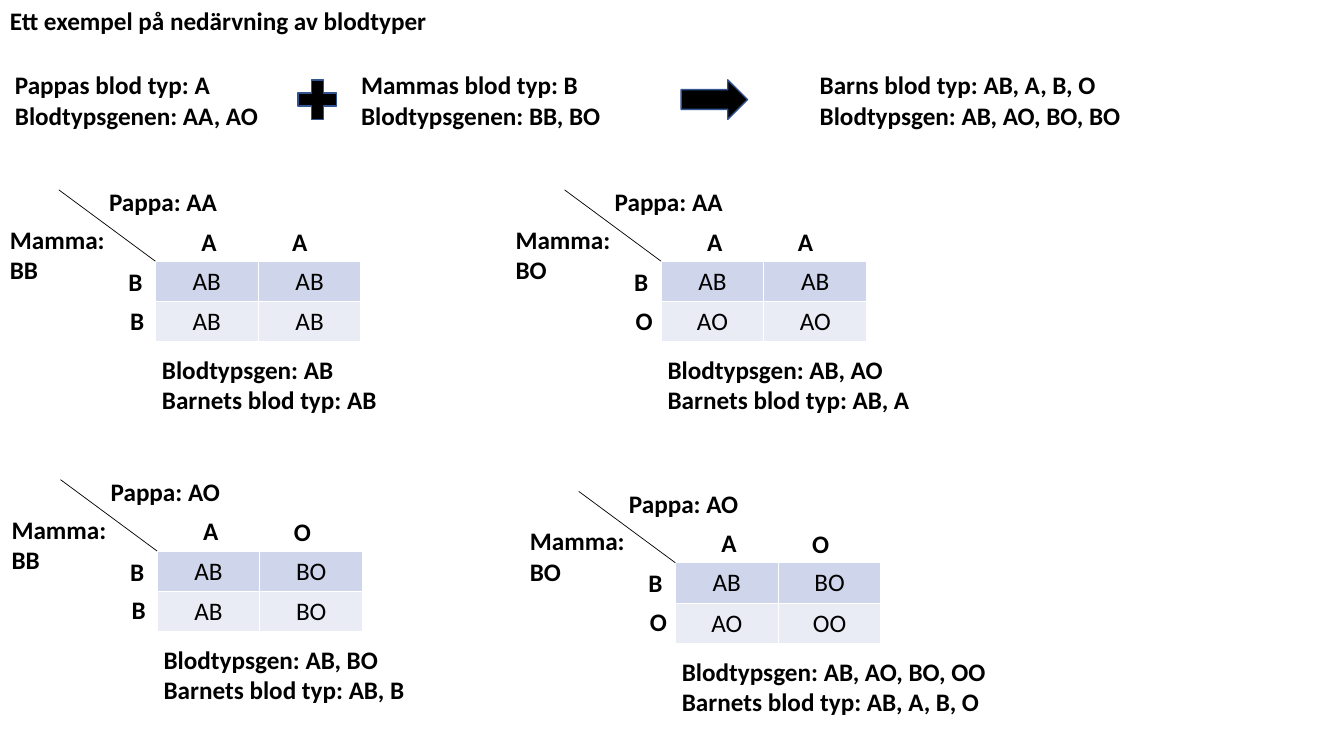
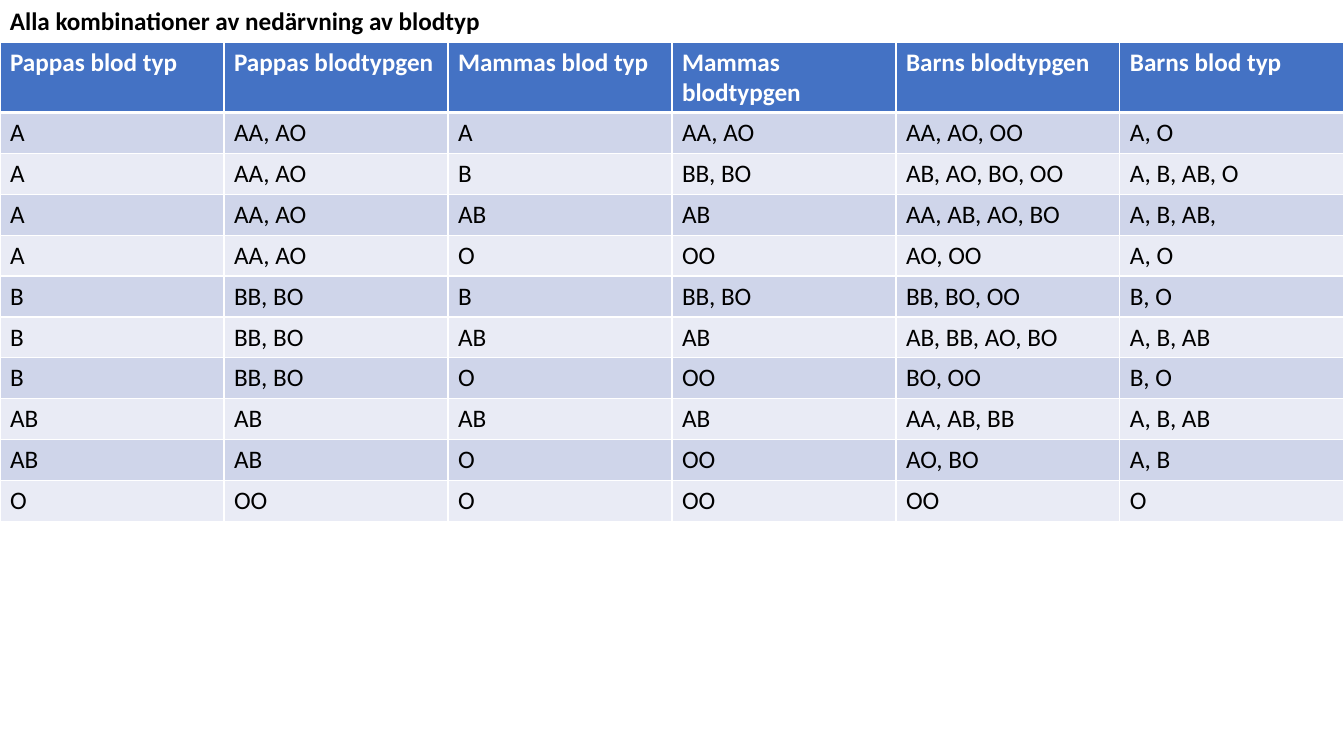
"""Build two slides on how blood types are inherited."""
from dataclasses import dataclass

from lxml.etree import SubElement
from pptx import Presentation
from pptx.dml.color import RGBColor
from pptx.enum.shapes import MSO_CONNECTOR, MSO_SHAPE
from pptx.enum.text import MSO_AUTO_SIZE, PP_ALIGN
from pptx.oxml.ns import qn
from pptx.util import Inches, Pt

COLUMNS, ROWS = 160, 90


@dataclass(frozen=True)
class Theme:
    font: str = "Calibri"
    size: int = 18
    text: str = "000000"
    light: str = "FFFFFF"
    header: str = "4472C4"
    bands: tuple = ("CFD5EA", "E9EBF5")
    outline: str = "325491"
    outline_width: float = 1
    diagonal_width: float = 0.5
    border_width: float = 1
    header_border_width: float = 3


class Deck:
    def __init__(self, theme):
        self.theme = theme
        self.presentation = Presentation()
        self.presentation.slide_width = Inches(40 / 3)
        self.presentation.slide_height = Inches(7.5)
        self.slide = None

    def across(self, columns):
        return round(self.presentation.slide_width * columns / COLUMNS)

    def down(self, rows):
        return round(self.presentation.slide_height * rows / ROWS)

    def box(self, left, top, width, height):
        return self.across(left), self.down(top), self.across(width), self.down(height)

    def new_slide(self, title):
        layout = self.presentation.slide_layouts[6]
        self.slide = self.presentation.slides.add_slide(layout)
        self.text([title], 0, 0, 76.8, wrap=True)

    def fill_paragraph(self, paragraph, text, color, bold, alignment=PP_ALIGN.LEFT):
        paragraph.alignment = alignment
        run = paragraph.add_run()
        run.text = text
        values = {"name": self.theme.font, "size": Pt(self.theme.size), "bold": bold}
        for name, value in values.items():
            setattr(run.font, name, value)
        run.font.color.rgb = RGBColor.from_string(color)

    def text(self, lines, left, top, width, height=4.85, wrap=False):
        shape = self.slide.shapes.add_textbox(*self.box(left, top, width, height))
        frame = shape.text_frame
        values = {"word_wrap": wrap, "auto_size": MSO_AUTO_SIZE.SHAPE_TO_FIT_TEXT}
        for name, value in values.items():
            setattr(frame, name, value)
        for index, line in enumerate(lines):
            paragraph = frame.add_paragraph() if index else frame.paragraphs[0]
            self.fill_paragraph(paragraph, line, self.theme.text, True)

    def symbol(self, kind, left, top, width, height, adjustment=None):
        shape = self.slide.shapes.add_shape(kind, *self.box(left, top, width, height))
        shape.shadow.inherit = False
        shape.fill.solid()
        shape.fill.fore_color.rgb = RGBColor.from_string(self.theme.text)
        shape.line.color.rgb = RGBColor.from_string(self.theme.outline)
        shape.line.width = Pt(self.theme.outline_width)
        if adjustment is not None:
            shape.adjustments[0] = adjustment

    def line(self, start_x, start_y, end_x, end_y):
        connector = self.slide.shapes.add_connector(
            MSO_CONNECTOR.STRAIGHT, *self.box(start_x, start_y, end_x, end_y))
        connector.line.color.rgb = RGBColor.from_string(self.theme.text)
        connector.line.width = Pt(self.theme.diagonal_width)
        SubElement(connector._element.spPr, qn("a:effectLst"))

    def borders(self, cell, bottom_width):
        properties = cell._tc.get_or_add_tcPr()
        widths = dict.fromkeys(("lnL", "lnR", "lnT"), self.theme.border_width)
        for side, width in {**widths, "lnB": bottom_width}.items():
            edge = SubElement(properties, qn(f"a:{side}"), w=str(Pt(width)))
            fill = SubElement(edge, qn("a:solidFill"))
            SubElement(fill, qn("a:srgbClr"), val=self.theme.light)

    def table(self, cells, left, top, column_width, row_height,
              header_height=None, alignment=PP_ALIGN.LEFT):
        theme = self.theme
        has_header = header_height is not None
        heights = [row_height] * len(cells)
        if has_header:
            heights[0] = header_height
        area = self.box(left, top, column_width * len(cells[0]), sum(heights))
        table = self.slide.shapes.add_table(len(cells), len(cells[0]), *area).table
        table.first_row = has_header
        for column in table.columns:
            column.width = self.across(column_width)
        for index, (row, height, texts) in enumerate(zip(table.rows, heights, cells)):
            row.height = self.down(height)
            is_header = has_header and index == 0
            fill = theme.header if is_header else theme.bands[(index - has_header) % 2]
            color = theme.light if is_header else theme.text
            bottom = theme.header_border_width if is_header else theme.border_width
            for cell, text in zip(row.cells, texts):
                self.borders(cell, bottom)
                cell.fill.solid()
                cell.fill.fore_color.rgb = RGBColor.from_string(fill)
                paragraph = cell.text_frame.paragraphs[0]
                self.fill_paragraph(paragraph, text, color, is_header, alignment)

    def cross_square(self, father, mother, left, top, result_width):
        genes = [["".join(sorted(f + m)) for f in father] for m in mother]
        self.table(genes, left, top, 12.24, 4.8, alignment=PP_ALIGN.CENTER)
        self.line(left, top, left - 11.5, top - 8.5)
        self.text([f"Pappa: {father}"], left - 6.7, top - 9.5, 15.4)
        self.text([f"Mamma: {mother}"], left - 18.5, top - 5, 14.2, 8.5, wrap=True)
        for index, (f, m) in enumerate(zip(father, mother)):
            self.text([f], left + 4.3 + 10.8 * index, top - 4.8 + 0.1 * index, 4.2)
            self.text([m], left - 4.4 + 0.2 * index, top + 4.6 * index, 4.2)
        found = sorted({gene for row in genes for gene in row})
        types = [gene.replace("O", "") or "O" for gene in found]
        self.text([f"Blodtypsgen: {', '.join(found)}",
                   f"Barnets blod typ: {', '.join(types)}"],
                  left - 0.4, top + 10.5, result_width, 8.5)


PARENTS_AND_CHILD = [
    (["Pappas blod typ: A", "Blodtypsgenen: AA, AO"], 0.6, 31.5),
    (["Mammas blod typ: B", "Blodtypsgenen: BB, BO"], 41.8, 31.2),
    (["Barns blod typ: AB, A, B, O", "Blodtypsgen: AB, AO, BO, BO"], 96.4, 38.5),
]
CROSSES = [
    ("AA", "BB", 18.5, 31.1, 28.2),
    ("AA", "BO", 78.7, 31.1, 31.4),
    ("AO", "BB", 18.7, 65.6, 31.3),
    ("AO", "BO", 80.4, 67, 39.5),
]
COMBINATIONS = [
    ("Pappas blod typ", "Pappas blodtypgen", "Mammas blod typ",
     "Mammas blodtypgen", "Barns blodtypgen", "Barns blod typ"),
    ("A", "AA, AO", "A", "AA, AO", "AA, AO, OO", "A, O"),
    ("A", "AA, AO", "B", "BB, BO", "AB, AO, BO, OO", "A, B, AB, O"),
    ("A", "AA, AO", "AB", "AB", "AA, AB, AO, BO", "A, B, AB,"),
    ("A", "AA, AO", "O", "OO", "AO, OO", "A, O"),
    ("B", "BB, BO", "B", "BB, BO", "BB, BO, OO", "B, O"),
    ("B", "BB, BO", "AB", "AB", "AB, BB, AO, BO", "A, B, AB"),
    ("B", "BB, BO", "O", "OO", "BO, OO", "B, O"),
    ("AB", "AB", "AB", "AB", "AA, AB, BB", "A, B, AB"),
    ("AB", "AB", "O", "OO", "AO, BO", "A, B"),
    ("O", "OO", "O", "OO", "OO", "O"),
]


def main():
    deck = Deck(Theme())
    deck.new_slide("Ett exempel på nedärvning av blodtyper")
    for lines, left, width in PARENTS_AND_CHILD:
        deck.text(lines, left, 7.7, width, 8.5)
    deck.symbol(MSO_SHAPE.CROSS, 35.5, 9.5, 4.6, 4.7, 0.34)
    deck.symbol(MSO_SHAPE.RIGHT_ARROW, 81.1, 9.5, 7.9, 4.7)
    for cross in CROSSES:
        deck.cross_square(*cross)

    deck.new_slide("Alla kombinationer av nedärvning av blodtyp")
    deck.table(COMBINATIONS, 0, 5, COLUMNS / 6, 4.87, header_height=8.4)
    deck.presentation.save("out.pptx")


if __name__ == "__main__":
    main()
